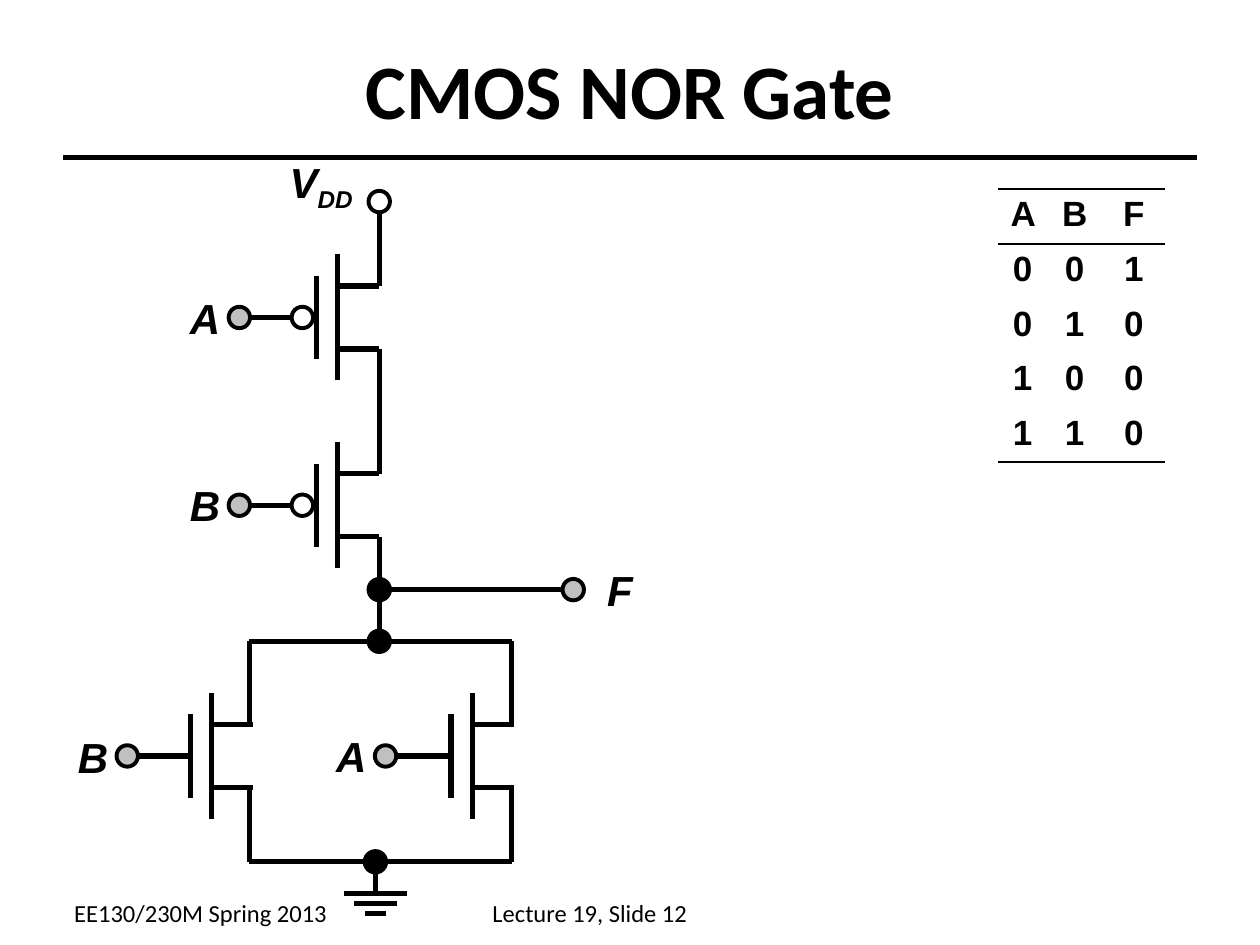
from lxml import etree
from pptx import Presentation
from pptx.dml.color import RGBColor
from pptx.enum import shapes, text
from pptx.oxml import ns
from pptx.util import Inches, Pt

BLACK = RGBColor(0, 0, 0)
WHITE = RGBColor(255, 255, 255)
GREY = RGBColor(0xC0, 0xC0, 0xC0)


class Sketch:
    wire = Pt(3)
    rim = Pt(2.25)
    rule = Pt(1.5)
    dot = 0.17

    def __init__(self, slide):
        self.slide = slide

    def line(self, x1, y1, x2, y2):
        ends = [Inches(v) for v in (x1, y1, x2, y2)]
        link = self.slide.shapes.add_connector(shapes.MSO_CONNECTOR.STRAIGHT, *ends)
        link.line.color.rgb = BLACK
        link.line.width = self.wire
        etree.SubElement(link._element.spPr, ns.qn("a:effectLst"))

    def path_of(self, *points):
        """Join successive points with straight wires."""
        for start, end in zip(points, points[1:]):
            self.line(*start, *end)

    def node(self, x, y, fill=None):
        """Draw a round terminal centred on x, y."""
        half = self.dot / 2
        oval = self.slide.shapes.add_shape(
            shapes.MSO_SHAPE.OVAL, Inches(x - half), Inches(y - half),
            Inches(self.dot), Inches(self.dot))
        oval.shadow.inherit = False
        if fill is None:
            oval.fill.background()
        else:
            oval.fill.solid()
            oval.fill.fore_color.rgb = fill
        oval.line.color.rgb = BLACK
        oval.line.width = self.rim

    def fet(self, x, y):
        """Draw gate, channel and leads; x, y is the channel's middle."""
        self.line(x - 0.17, y - 0.33, x - 0.17, y + 0.33)
        self.line(x, y - 0.5, x, y + 0.5)
        for side in (-0.25, 0.25):
            self.line(x, y + side, x + 0.33, y + side)

    def font(self, para, size, name="Arial", bold=True, slant=False):
        font = para.font
        font.name, font.size = name, Pt(size)
        font.bold, font.italic = bold, slant
        font.color.rgb = BLACK

    def label(self, x, y, w, h, words, size=24, name="Arial",
              bold=True, slant=True, sub=None):
        box = self.slide.shapes.add_textbox(Inches(x), Inches(y), Inches(w), Inches(h))
        frame = box.text_frame
        frame.word_wrap = False
        para = frame.paragraphs[0]
        para.add_run().text = words
        if sub:
            run = para.add_run()
            run.text = sub
            run._r.get_or_add_rPr().set("baseline", "-25000")
        self.font(para, size, name, bold, slant)
        return frame

    def title(self, words):
        frame = self.label(0.5, 0.08, 9, 1.25, words, 44, "Calibri", slant=False)
        frame.word_wrap = True
        frame.vertical_anchor = text.MSO_ANCHOR.MIDDLE
        frame.paragraphs[0].alignment = text.PP_ALIGN.CENTER

    def edges(self, cell, top, bottom):
        """Rule the top and bottom of a cell as asked, and clear its sides."""
        props = cell._tc.get_or_add_tcPr()
        sides = (("L", False), ("R", False), ("T", top), ("B", bottom))
        for spot, (side, shown) in enumerate(sides):
            edge = etree.Element(ns.qn(f"a:ln{side}"), w=str(self.rule))
            if shown:
                fill = etree.SubElement(edge, ns.qn("a:solidFill"))
                etree.SubElement(fill, ns.qn("a:srgbClr"), val=str(BLACK))
            else:
                etree.SubElement(edge, ns.qn("a:noFill"))
            props.insert(spot, edge)

    def table(self, x, y, widths, high, rows):
        last = len(rows) - 1
        grid = self.slide.shapes.add_table(
            len(rows), len(widths), Inches(x), Inches(y),
            Inches(sum(widths)), Inches(high * len(rows))).table
        grid.first_row = grid.horz_banding = False
        for col, wide in zip(grid.columns, widths):
            col.width = Inches(wide)
        for r, row in enumerate(rows):
            grid.rows[r].height = Inches(high)
            for c, mark in enumerate(row):
                cell = grid.cell(r, c)
                cell.text = mark
                cell.fill.background()
                self.edges(cell, r in (0, 1), r in (0, last))
                para = cell.text_frame.paragraphs[0]
                para.alignment = text.PP_ALIGN.CENTER
                self.font(para, 20)


def main():
    deck = Presentation()
    deck.slide_width, deck.slide_height = Inches(10), Inches(7.5)
    pen = Sketch(deck.slides.add_slide(deck.slide_layouts[6]))

    pen.line(0.5, 1.25, 9.5, 1.25)
    pen.title("CMOS NOR Gate")

    # Supply rail, pull-up pair and output
    main_x, out_y, top_y, low_y = 3.01, 4.68, 5.09, 6.84
    pen.line(main_x, 1.69, main_x, 2.27)
    pen.line(main_x, 2.77, main_x, 3.76)
    pen.line(main_x, 4.26, main_x, top_y)
    pen.line(main_x, out_y, 4.47, out_y)
    pen.node(main_x, 1.6)
    pen.label(2.2, 1.19, 0.7, 0.56, "V", sub="DD")
    for name, y in (("A", 2.52), ("B", 4.01)):
        pen.fet(2.68, y)
        pen.line(1.99, y, 2.32, y)
        pen.node(2.4, y, WHITE)
        pen.node(1.9, y, GREY)
        pen.label(1.41, y - 0.25, 0.44, 0.5, name)

    # Pull-down pair between the output and ground
    left, right, mid = 1.98, 4.06, 6.0
    for y, lead in ((top_y, mid - 0.25), (low_y, mid + 0.25)):
        pen.path_of((left, lead), (left, y), (right, y), (right, lead))
    for name, x, gate, y in (("B", 1.68, 1.01, 5.76), ("A", 3.75, 3.06, 5.75)):
        pen.fet(x, mid)
        pen.line(gate + 0.08, mid, x - 0.17, mid)
        pen.node(gate, mid, GREY)
        pen.label(gate - 0.49, y, 0.44, 0.5, name)

    # Ground symbol
    earth = 2.98
    pen.line(earth, low_y, earth, 7.09)
    for step, half in enumerate((0.25, 0.17, 0.08)):
        y = 7.09 + 0.08 * step
        pen.line(earth - half, y, earth + half, y)

    for x, y in ((main_x, out_y), (main_x, top_y), (earth, low_y)):
        pen.node(x, y, BLACK)
    pen.node(4.55, out_y, GREY)
    pen.label(4.72, 4.43, 0.4, 0.5, "F")

    pen.table(7.92, 1.5, (0.39, 0.44, 0.5), 0.43,
              ("ABF", "001", "010", "100", "110"))

    for x, w, words in ((0.49, 2.21, "EE130/230M Spring 2013"),
                        (3.81, 2.37, "Lecture 19, Slide 12")):
        pen.label(x, 7.08, w, 0.34, words, 14, "Calibri", bold=False, slant=False)

    deck.save("out.pptx")


if __name__ == "__main__":
    main()
